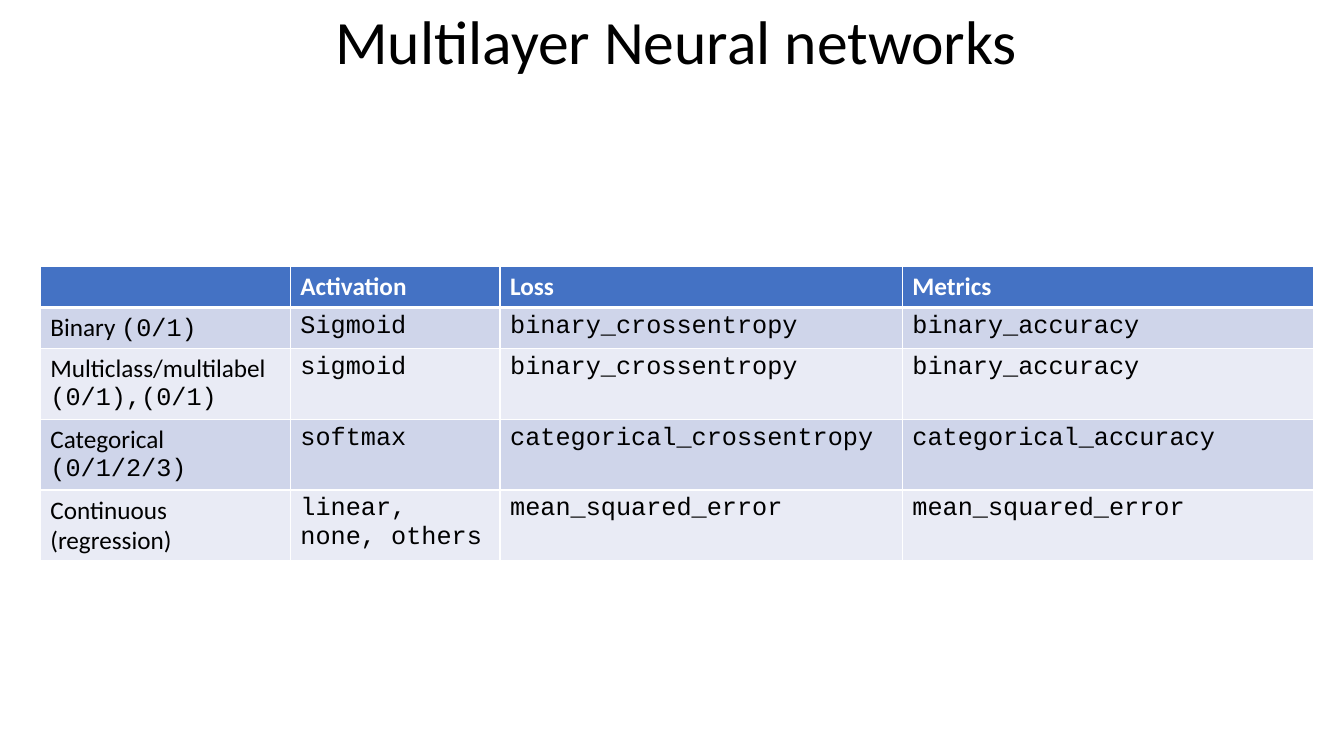
from lxml.etree import SubElement
from pptx import Presentation
from pptx.dml.color import RGBColor
from pptx.enum.text import MSO_ANCHOR, PP_ALIGN
from pptx.oxml.ns import qn
from pptx.util import Emu, Pt

PX = 9144
COLORS = {
    "text": "000000",
    "white": "FFFFFF",
    "header": "4472C4",
    "odd": "CFD5EA",
    "even": "E9EBF5",
}
BODY, CODE = "Calibri", "Courier New"
HEADINGS = ["", "Activation", "Loss", "Metrics"]
TASKS = [
    ([[("Binary ", BODY), ("(0/1)", CODE)]],
     "Sigmoid", "binary_crossentropy", "binary_accuracy"),
    ([[("Multiclass/multilabel", BODY)], [("(0/1),(0/1)", CODE)]],
     "sigmoid", "binary_crossentropy", "binary_accuracy"),
    ([[("Categorical", BODY)], [("(0/1/2/3)", CODE)]],
     "softmax", "categorical_crossentropy", "categorical_accuracy"),
    ([[("Continuous (regression)", BODY)]],
     "linear, none, others", "mean_squared_error", "mean_squared_error"),
]
COLUMN_WIDTHS = [248, 208, 399, 408]
ROW_HEIGHTS = [41, 41, 69, 69, 70]


def px(length):
    """Turn px into EMU."""
    return Emu(length * PX)


def add_run(paragraph, text, font, size, color="text", bold=False):
    """Add one formatted run to a paragraph."""
    run = paragraph.add_run()
    run.text = text
    run.font.name = font
    run.font.size = Pt(size)
    run.font.bold = bold
    run.font.color.rgb = RGBColor.from_string(COLORS[color])


def add_title(slide, left, top, width, height):
    """Place the centred slide title in the given box."""
    title = slide.shapes.add_textbox(px(left), px(top), px(width), px(height))
    frame = title.text_frame
    frame.word_wrap = True
    frame.vertical_anchor = MSO_ANCHOR.MIDDLE
    heading = frame.paragraphs[0]
    heading.alignment = PP_ALIGN.CENTER
    heading.line_spacing = 0.9
    add_run(heading, "Multilayer Neural networks", BODY, 44)


def set_borders(cell, top=1, bottom=1):
    """Draw white borders round a cell, with widths in points."""
    properties = cell._tc.get_or_add_tcPr()
    for side, width in (("L", 1), ("R", 1), ("T", top), ("B", bottom)):
        line = SubElement(properties, qn(f"a:ln{side}"), w=str(Pt(width)))
        fill = SubElement(line, qn("a:solidFill"))
        SubElement(fill, qn("a:srgbClr"), val=COLORS["white"])


def fill_cell(cell, lines, fill, color="text", bold=False):
    """Colour a cell and write its lines of (text, font) runs."""
    cell.fill.solid()
    cell.fill.fore_color.rgb = RGBColor.from_string(COLORS[fill])
    frame = cell.text_frame
    for index, runs in enumerate(lines):
        paragraph = frame.add_paragraph() if index else frame.paragraphs[0]
        for text, font in runs:
            add_run(paragraph, text, font, 18, color, bold)


def add_task_table(slide, left, top):
    """Place the table of settings per task at the given corner."""
    table = slide.shapes.add_table(
        len(ROW_HEIGHTS), len(COLUMN_WIDTHS), px(left), px(top),
        px(sum(COLUMN_WIDTHS)), px(sum(ROW_HEIGHTS))).table
    for column, width in zip(table.columns, COLUMN_WIDTHS):
        column.width = px(width)
    for row, height in zip(table.rows, ROW_HEIGHTS):
        row.height = px(height)
    for cell, heading in zip(table.rows[0].cells, HEADINGS):
        set_borders(cell, bottom=3)
        lines = [[(heading, BODY)]] if heading else []
        fill_cell(cell, lines, "header", "white", True)
    for number, (task, *settings) in enumerate(TASKS, 1):
        contents = [task] + [[[(setting, CODE)]] for setting in settings]
        for cell, lines in zip(table.rows[number].cells, contents):
            set_borders(cell, top=3 if number == 1 else 1)
            fill_cell(cell, lines, "odd" if number % 2 else "even")


def main():
    """Build and save the slide."""
    deck = Presentation()
    deck.slide_width, deck.slide_height = px(1333), px(750)
    slide = deck.slides.add_slide(deck.slide_layouts[6])
    add_title(slide, 96, -28, 1150, 145)
    add_task_table(slide, 40, 264)
    deck.save("out.pptx")


if __name__ == "__main__":
    main()
